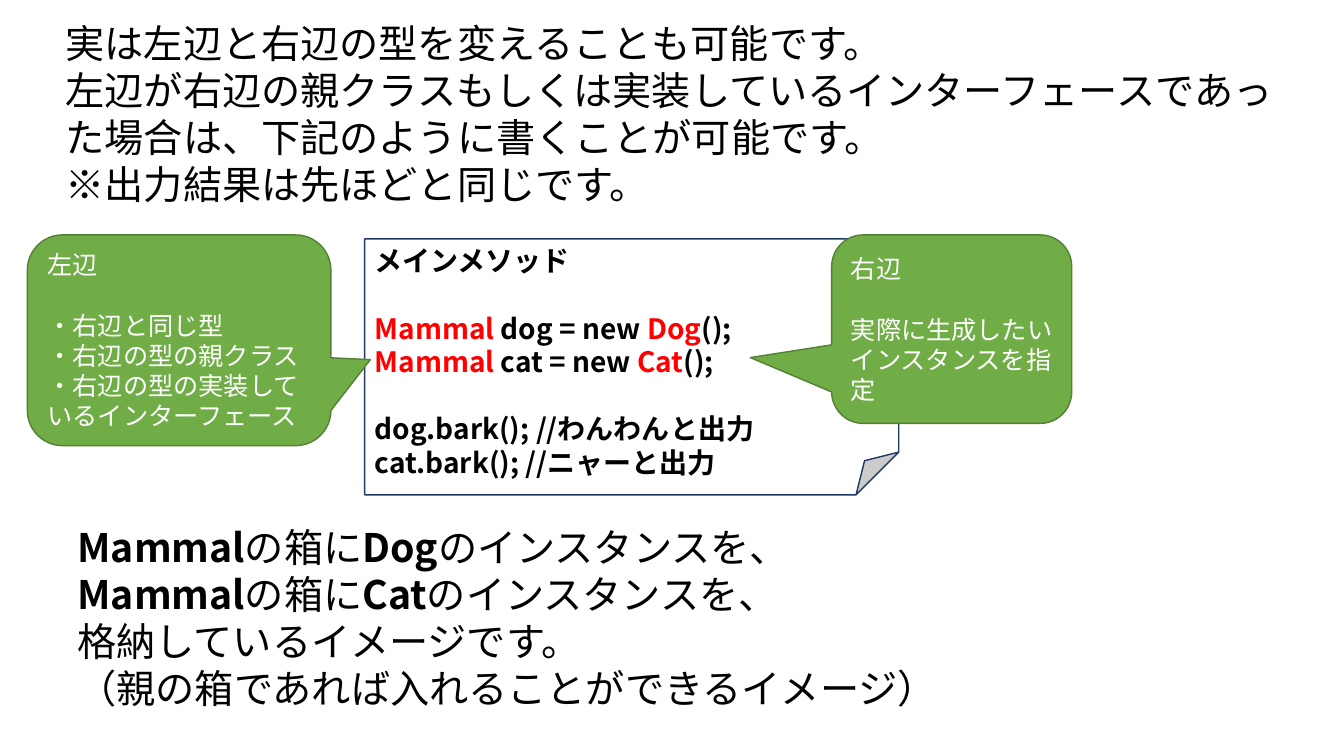
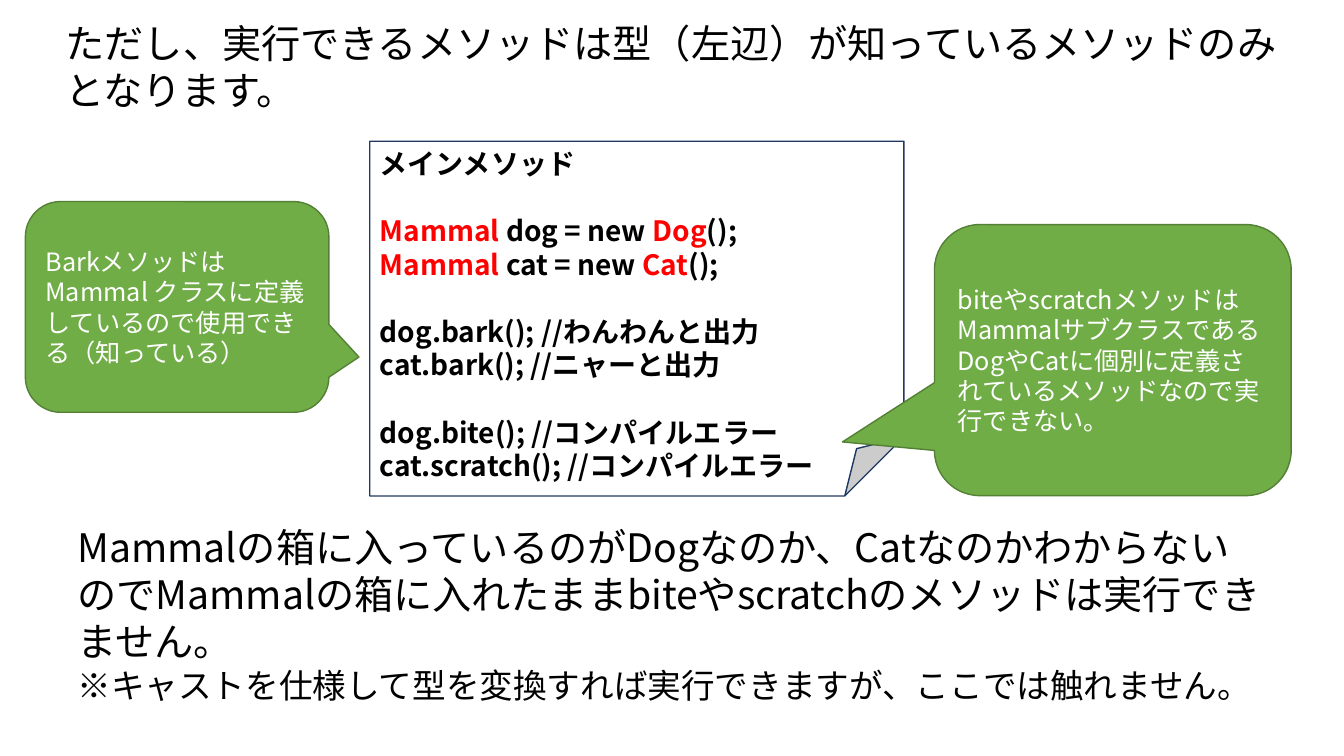
from lxml.etree import SubElement
from pptx import Presentation
from pptx.dml.color import RGBColor as Rgb
from pptx.enum.shapes import MSO_SHAPE as Kind
from pptx.enum.text import MSO_ANCHOR as Anchor, MSO_AUTO_SIZE as Fit, PP_ALIGN as Align
from pptx.oxml.ns import qn
from pptx.util import Cm, Pt

FONT = "Noto Sans CJK JP"
HUES = {
    "ink": "000000",
    "red": "FF0000",
    "white": "FFFFFF",
    "navy": "203864",
    "green": "70AD47",
    "edge": "538035",
}
LEAD = 1.2


def hue(name):
    """Return the named colour."""
    return Rgb.from_string(HUES[name])


def add_run(para, text, size, tone, bold):
    """Add one formatted run to a paragraph."""
    run = para.add_run()
    run.text = text
    font = run.font
    font.name, font.size, font.bold = FONT, Pt(size), bold
    font.color.rgb = hue(tone)
    SubElement(run._r.get_or_add_rPr(), qn("a:ea")).set("typeface", FONT)


def write(frame, lines, size, tone="ink", bold=False, gaps=(), small=None):
    """Write lines of (text, mark) runs, with a line's space before those in gaps."""
    frame.word_wrap = True
    for i, line in enumerate(lines):
        para = frame.add_paragraph() if i else frame.paragraphs[0]
        pts = small if small and i == len(lines) - 1 else size
        para.alignment = Align.LEFT
        para.line_spacing = Pt(pts * LEAD)
        para.space_before = Pt(pts * LEAD if i in gaps else 0)
        props = para._p.get_or_add_pPr()
        props.set("marL", "0")
        props.set("indent", "0")
        SubElement(props, qn("a:buNone"))
        for text, mark in line:
            shade = "red" if mark == "red" else tone
            add_run(para, text, pts, shade, bold or mark == "bold")


def plain(*texts):
    """Turn texts into lines of one unmarked run."""
    return [[(text, "")] for text in texts]


def prose(holder, box, lines, small=None):
    """Move a placeholder to its box and write its text."""
    holder.left, holder.top, holder.width, holder.height = map(Cm, box)
    frame = holder.text_frame
    frame.vertical_anchor = Anchor.TOP
    write(frame, lines, 28, small=small)
    frame.auto_size = Fit.SHAPE_TO_FIT_TEXT


def block(slide, kind, box, fill, edge):
    """Add a flat filled shape with a thin outline."""
    shape = slide.shapes.add_shape(kind, *map(Cm, box))
    shape.shadow.inherit = False
    shape.fill.solid()
    shape.fill.fore_color.rgb = hue(fill)
    shape.line.color.rgb = hue(edge)
    shape.line.width = Pt(1)
    return shape


def sheet(slide, box, lines, gaps):
    """Add the folded sheet that holds the main method."""
    shape = block(slide, Kind.FOLDED_CORNER, box, "white", "navy")
    shape.text_frame.vertical_anchor = Anchor.TOP
    write(shape.text_frame, lines, 20, bold=True, gaps=gaps)


def bubble(slide, box, tip, lines, gaps=()):
    """Add a green callout whose tail ends at tip, relative to its centre."""
    shape = block(slide, Kind.ROUNDED_RECTANGULAR_CALLOUT, box, "green", "edge")
    for i, ratio in enumerate((*tip, 0.167)):
        shape.adjustments[i] = ratio
    shape.text_frame.vertical_anchor = Anchor.MIDDLE
    write(shape.text_frame, lines, 18, "white", gaps=gaps)


def make(kind, name):
    """Return the code line that makes one animal."""
    return [("Mammal ", "red"), (f"{name} = new ", ""), (kind, "red"), ("();", "")]


def store(kind):
    """Return the line that puts one animal in the box."""
    return [("Mammal", "bold"), ("の箱に", ""), (kind, "bold"),
            ("のインスタンスを、", "")]


CODE = [
    *plain("メインメソッド"),
    make("Dog", "dog"),
    make("Cat", "cat"),
    *plain("dog.bark(); //わんわんと出力", "cat.bark(); //ニャーと出力"),
]


def types(deck):
    """Build the slide on differing left and right types."""
    slide = deck.slides.add_slide(deck.slide_layouts[1])
    head, body = slide.placeholders
    prose(head, (1.4, 0.36, 31.78, 5.05), plain(
        "実は左辺と右辺の型を変えることも可能です。",
        "左辺が右辺の親クラスもしくは実装しているインターフェースであった場合は、"
        "下記のように書くことが可能です。",
        "※出力結果は先ほどと同じです。"))
    sheet(slide, (9.19, 6.02, 13.46, 6.45), CODE, (1, 3))
    prose(body, (1.7, 13.06, 30.33, 5.05), [
        store("Dog"), store("Cat"),
        *plain("格納しているイメージです。", "（親の箱であれば入れることができるイメージ）")])
    bubble(slide, (20.96, 5.92, 6.05, 4.75), (-0.839, 0.151),
           plain("右辺", "実際に生成したいインスタンスを指定"), (1,))
    bubble(slide, (0.69, 5.92, 7.65, 5.31), (0.63, 0.092), plain(
        "左辺", "・右辺と同じ型", "・右辺の型の親クラス",
        "・右辺の型の実装しているインターフェース"), (1,))


def calls(deck):
    """Build the slide on which methods can be called."""
    slide = deck.slides.add_slide(deck.slide_layouts[1])
    head, body = slide.placeholders
    prose(head, (1.4, 0.36, 31.78, 2.64), plain(
        "ただし、実行できるメソッドは型（左辺）が知っているメソッドのみとなります。"))
    errors = plain("dog.bite(); //コンパイルエラー", "cat.scratch(); //コンパイルエラー")
    sheet(slide, (9.32, 3.56, 13.46, 8.94), CODE + errors, (1, 3, 5))
    prose(body, (1.7, 13.06, 30.33, 4.88), plain(
        "Mammalの箱に入っているのがDogなのか、Catなのかわからないので"
        "Mammalの箱に入れたままbiteやscratchのメソッドは実行できません。",
        "※キャストを仕様して型を変換すれば実行できますが、ここでは触れません。"), 24)
    bubble(slide, (23.55, 5.66, 8.99, 6.83), (-0.758, 0.302), plain(
        "biteやscratchメソッドは",
        "MammalサブクラスであるDogやCatに個別に定義されているメソッドなので"
        "実行できない。"))
    bubble(slide, (0.64, 5.08, 7.65, 5.31), (0.599, 0.238), plain(
        "BarkメソッドはMammal クラスに定義しているので使用できる（知っている）"))


def main():
    """Build and save the deck."""
    deck = Presentation()
    deck.slide_width, deck.slide_height = Cm(33.87), Cm(19.05)
    types(deck)
    calls(deck)
    deck.save("out.pptx")


main()
